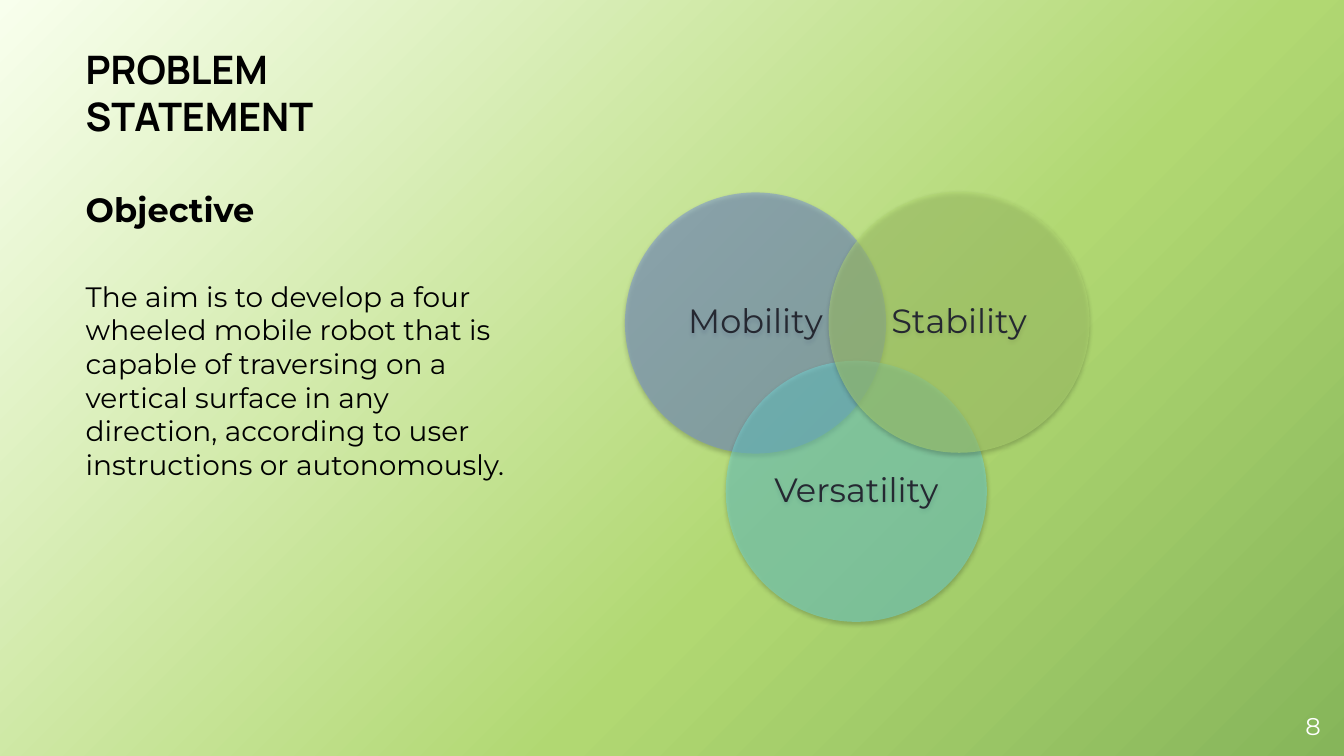
"""Build the problem statement slide with its three overlapping goals."""
from lxml.etree import SubElement
from pptx import Presentation
from pptx.dml.color import RGBColor
from pptx.enum.shapes import MSO_SHAPE
from pptx.enum.text import MSO_ANCHOR, PP_ALIGN
from pptx.oxml import parse_xml
from pptx.oxml.ns import nsdecls, qn
from pptx.util import Cm, Pt

TITLE = "PROBLEM STATEMENT"
HEAD = "Objective"
AIM = ("The aim is to develop a four wheeled mobile robot that is capable of "
       "traversing on a vertical surface in any direction, according to user "
       "instructions or autonomously.")
PAGE = "8"
GOALS = [
    ("Mobility", "728CD8", 15.75, 4.85),
    ("Versatility", "72D8D8", 18.29, 9.09),
    ("Stability", "B1D872", 20.88, 4.83),
]
STOPS = [(0, "F8FFED"), (62, "B1D872"), (100, "86B55A")]
SIZE = 6.58
INSET = 0.25


def paint(color, hue):
    color.rgb = RGBColor.from_string(hue)


def place(shape, left, top, width, height):
    shape.left, shape.top = Cm(left), Cm(top)
    shape.width, shape.height = Cm(width), Cm(height)


def setup(frame, anchor, inset=0):
    frame.word_wrap = True
    frame.vertical_anchor = anchor
    frame.margin_left = frame.margin_right = Cm(inset)
    frame.margin_top = frame.margin_bottom = Cm(inset)


def style(para, size, hue, face="Montserrat", bold=False, align=PP_ALIGN.LEFT):
    para.alignment = align
    font = para.font
    font.size, font.name, font.bold = Pt(size), face, bold
    paint(font.color, hue)


def backdrop(slide):
    stops = "".join(f'<a:gs pos="{pos * 1000}"><a:srgbClr val="{hue}"/></a:gs>'
                    for pos, hue in STOPS)
    fill = slide.background.fill
    fill.solid()
    props = slide.element.cSld.find(qn("p:bg")).find(qn("p:bgPr"))
    props.replace(props[0], parse_xml(
        f'<a:gradFill {nsdecls("a")} rotWithShape="1"><a:gsLst>{stops}</a:gsLst>'
        '<a:lin ang="2700000" scaled="0"/></a:gradFill>'))


def add_goal(slide, name, hue, left, top):
    disc = slide.shapes.add_shape(
        MSO_SHAPE.OVAL, Cm(left), Cm(top), Cm(SIZE), Cm(SIZE))
    disc.shadow.inherit = False
    disc.fill.solid()
    paint(disc.fill.fore_color, hue)
    disc.line.fill.background()
    props = disc.element.spPr
    tint = props.find(qn("a:solidFill")).find(qn("a:srgbClr"))
    SubElement(tint, qn("a:alpha"), val="50000")
    shade = SubElement(
        props.find(qn("a:effectLst")), qn("a:outerShdw"), blurRad=str(Pt(3.1)),
        dist=str(Pt(1.6)), dir="5400000", rotWithShape="0")
    black = SubElement(shade, qn("a:srgbClr"), val="000000")
    SubElement(black, qn("a:alpha"), val="38000")
    setup(disc.text_frame, MSO_ANCHOR.MIDDLE, INSET)
    para = disc.text_frame.paragraphs[0]
    para.text, para.line_spacing = name, 0.9
    style(para, 24, "252831", align=PP_ALIGN.CENTER)


def main():
    deck = Presentation()
    deck.slide_width, deck.slide_height = Cm(33.87), Cm(19.05)
    slide = deck.slides.add_slide(deck.slide_layouts[1])
    backdrop(slide)

    title, body = slide.placeholders
    place(title, 2.16, 1.12, 9.96, 2.39)
    setup(title.text_frame, MSO_ANCHOR.BOTTOM)
    title.text_frame.text = TITLE
    style(title.text_frame.paragraphs[0], 28, "000000", "Manrope", True)

    place(body, 2.16, 4.75, 10.95, 9.52)
    setup(body.text_frame, MSO_ANCHOR.TOP)
    body.text_frame.text = f"{HEAD}\n{AIM}"
    head, aim = body.text_frame.paragraphs
    for para, size, gap in ((head, 24, 0), (aim, 20, 36)):
        props = para._p.get_or_add_pPr()
        props.set("marL", "0")
        props.set("indent", "0")
        SubElement(props, qn("a:buNone"))
        para.space_before = Pt(gap)
        style(para, size, "000000", bold=para is head)

    for goal in GOALS:
        add_goal(slide, *goal)

    page = slide.shapes.add_textbox(Cm(32.33), Cm(17.53), Cm(1.52), Cm(1.52))
    setup(page.text_frame, MSO_ANCHOR.MIDDLE)
    page.text_frame.text = PAGE
    style(page.text_frame.paragraphs[0], 17.3, "FFFFFF", align=PP_ALIGN.CENTER)
    deck.save("out.pptx")


if __name__ == "__main__":
    main()
